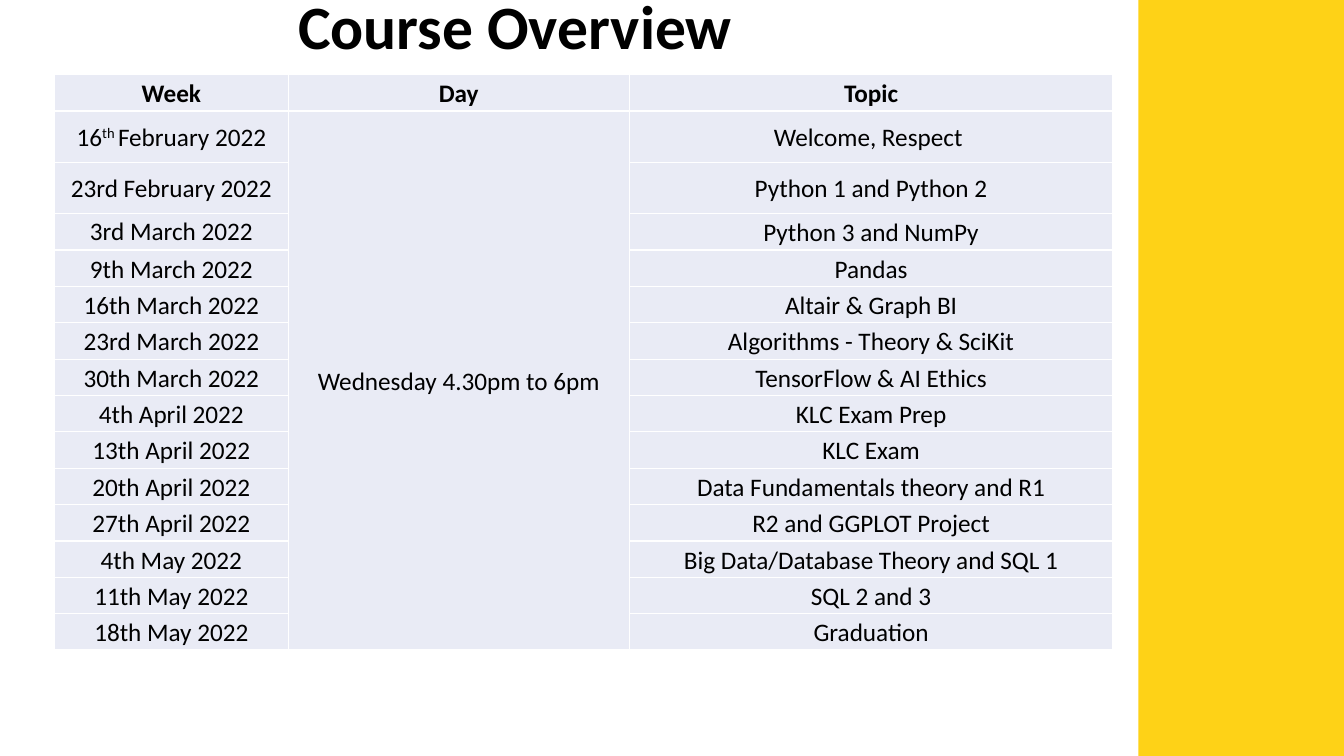
from lxml import etree
from pptx import Presentation
from pptx.dml.color import RGBColor
from pptx.enum.shapes import MSO_SHAPE as Shape
from pptx.enum.text import MSO_ANCHOR as Anchor, PP_ALIGN as Align
from pptx.oxml.ns import qn
from pptx.util import Inches, Pt


def paint(fill, color):
    fill.solid()
    fill.fore_color.rgb = RGBColor.from_string(color)


def style(para, size, bold):
    para.alignment = Align.CENTER
    for run in para.runs:
        run.font.name = "Calibri"
        run.font.size = Pt(size)
        run.font.bold = bold
        paint(run.font.fill, "000000")


prs = Presentation()
prs.slide_width, prs.slide_height = Inches(13.33), Inches(7.5)
slide = prs.slides.add_slide(prs.slide_layouts[6])

# Title
title = slide.shapes.add_textbox(Inches(0.17), Inches(-0.43), Inches(10.02), Inches(1.45))
frame = title.text_frame
frame.word_wrap = True
frame.vertical_anchor = Anchor.MIDDLE
frame.text = "Course Overview "
frame.paragraphs[0].line_spacing = 0.9
style(frame.paragraphs[0], 44, True)

# Yellow side band
band = slide.shapes.add_shape(Shape.RECTANGLE, Inches(11.29), 0, Inches(2.04), Inches(7.5))
band.shadow.inherit = False
paint(band.fill, "FED217")
band.line.fill.background()

# Timetable
rows = [
    ("Week", "Day", "Topic"),
    ("16", "Wednesday 4.30pm to 6pm", "Welcome, Respect "),
    ("23rd February 2022", "", "Python 1 and Python 2"),
    ("3rd March 2022", "", "Python 3 and NumPy"),
    ("9th March 2022", "", "Pandas"),
    ("16th March 2022", "", "Altair & Graph BI"),
    ("23rd March 2022", "", "Algorithms - Theory & SciKit"),
    ("30th March 2022", "", "TensorFlow & AI Ethics"),
    ("4th April 2022", "", "KLC Exam Prep"),
    ("13th April 2022", "", "KLC Exam"),
    ("20th April 2022", "", "Data Fundamentals theory and R1"),
    ("27th April 2022", "", "R2 and GGPLOT Project"),
    ("4th May 2022", "", "Big Data/Database Theory and SQL 1"),
    ("11th May 2022", "", "SQL 2 and 3"),
    ("18th May 2022", "", "Graduation"),
]
widths = [2.32, 3.38, 4.8]
heights = [0.28] + [0.51] * 2 + [0.36] * 12

table = slide.shapes.add_table(
    len(rows), len(widths), Inches(0.54), Inches(0.74), Inches(10.5), Inches(5.66)
).table
table.first_row = table.horz_banding = False
for col, width in zip(table.columns, widths):
    col.width = Inches(width)
for row, height in zip(table.rows, heights):
    row.height = Inches(height)

for r, row in enumerate(rows):
    for c, text in enumerate(row):
        cell = table.cell(r, c)
        cell.margin_left = cell.margin_right = Inches(0.04)
        cell.margin_top = cell.margin_bottom = Inches(0.02)
        cell.vertical_anchor = Anchor.MIDDLE
        props = cell._tc.get_or_add_tcPr()
        for side in ("a:lnL", "a:lnR", "a:lnT", "a:lnB"):
            line = etree.SubElement(props, qn(side), w=str(Pt(1)))
            solid = etree.SubElement(line, qn("a:solidFill"))
            etree.SubElement(solid, qn("a:srgbClr"), val="FFFFFF")
        paint(cell.fill, "E9EBF5")

        para = cell.text_frame.paragraphs[0]
        para.text = text
        if text == "16":
            suffix = para.add_run()
            suffix.text = "th "
            suffix.font._element.set("baseline", "30000")
            para.add_run().text = "February 2022"
        if text != "3rd March 2022":
            para.line_spacing = 1.07
            para.space_after = Pt(8)
        style(para, 18, r == 0)

table.cell(1, 1).merge(table.cell(len(rows) - 1, 1))

prs.save("out.pptx")
